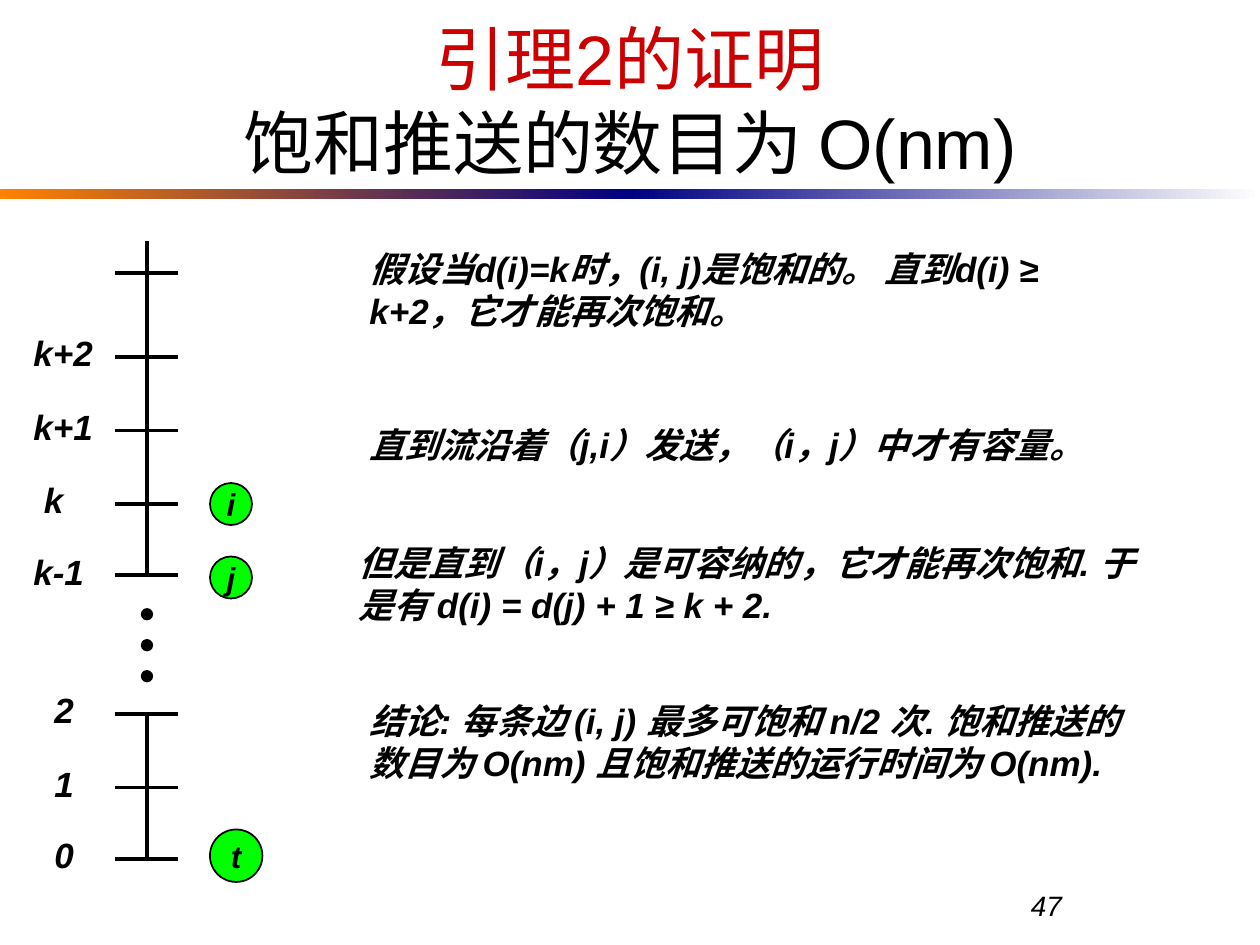
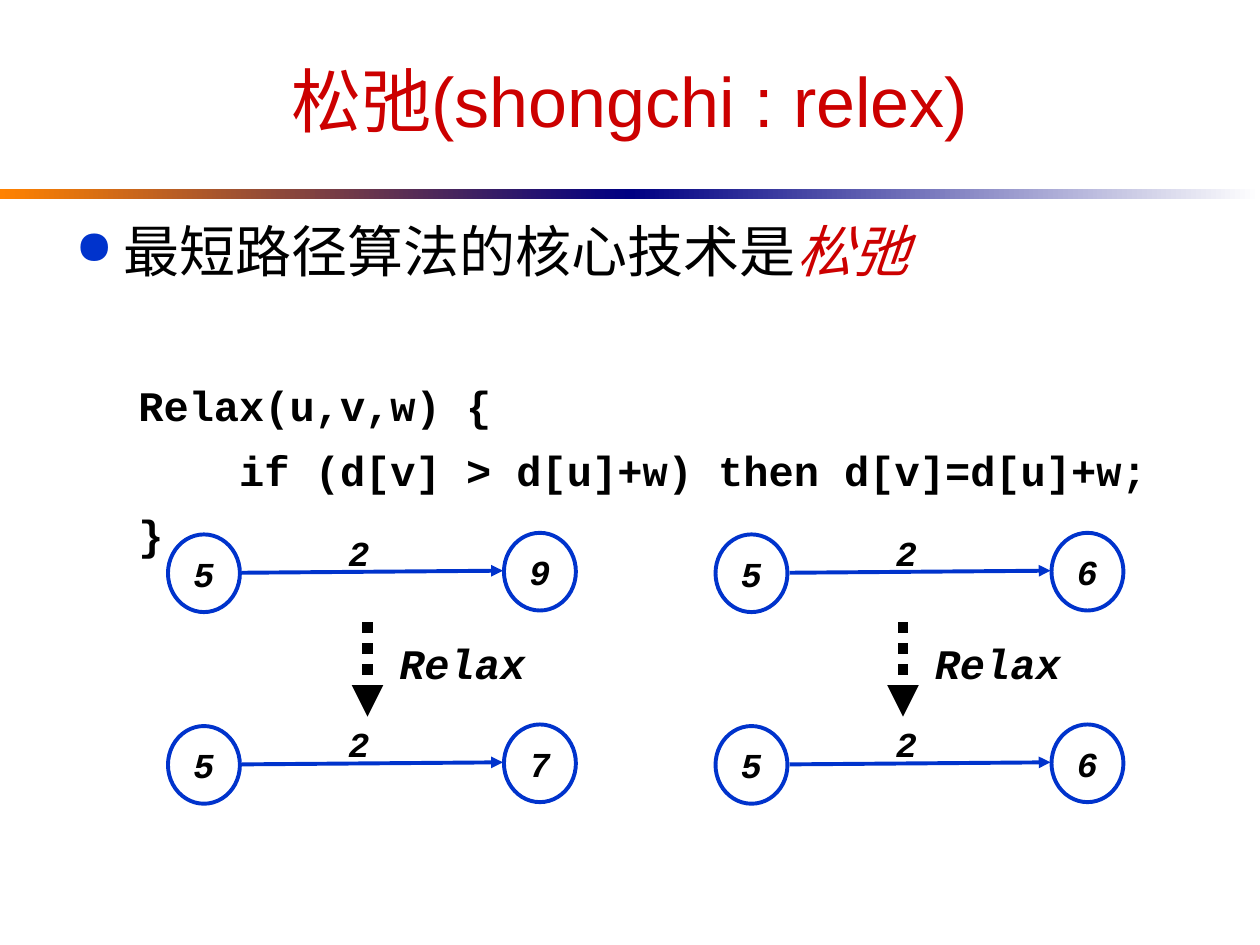
from dataclasses import dataclass

from lxml.etree import SubElement
from pptx import Presentation
from pptx.dml.color import RGBColor
from pptx.enum.dml import MSO_LINE
from pptx.enum.shapes import MSO_CONNECTOR, MSO_SHAPE
from pptx.enum.text import MSO_ANCHOR, MSO_AUTO_SIZE, PP_ALIGN
from pptx.oxml.ns import qn
from pptx.util import Inches, Pt

COLS, ROWS = 120, 90


@dataclass(frozen=True)
class Theme:
    ink: str = "000000"
    paper: str = "FFFFFF"
    red: str = "CC0000"
    blue: str = "0033CC"
    navy: str = "000082"
    orange: str = "FF8200"
    green: str = "00FF00"
    sans: str = "Arial"
    serif: str = "Times New Roman"
    mono: str = "Courier New"
    title: int = 40
    lead: int = 32
    code: int = 24
    text: int = 20
    mark: int = 18
    foot: int = 16
    thin: float = 1
    line: float = 2.25
    thick: float = 6


def rgb(code):
    return RGBColor.from_string(code)


class Deck:
    def __init__(self, theme):
        self.theme = theme
        self.prs = Presentation()
        self.prs.slide_width, self.prs.slide_height = Inches(10), Inches(7.5)
        self.slide = None

    def grid(self, *spots):
        """Turn alternating columns and rows into slide lengths."""
        steps = self.prs.slide_width / COLS, self.prs.slide_height / ROWS
        return [round(n * steps[i % 2]) for i, n in enumerate(spots)]

    def font(self, par, size, face=None, bold=True, slant=True):
        font = par.font
        font.name, font.size = face or self.theme.sans, Pt(size)
        font.bold, font.italic = bold, slant
        font.color.rgb = rgb(self.theme.ink)

    def page(self, *lines):
        """Start a slide with its band; each title line is (text, colour)."""
        look = self.theme
        self.slide = self.prs.slides.add_slide(self.prs.slide_layouts[5])
        self.band(0, look.orange, look.navy)
        self.band(COLS / 2, look.navy, look.paper)
        title = self.slide.shapes.title
        title.left, title.top, title.width, title.height = self.grid(6, 3, 108, 13)
        frame = title.text_frame
        frame.auto_size = MSO_AUTO_SIZE.NONE
        frame.vertical_anchor = MSO_ANCHOR.MIDDLE
        par = frame.paragraphs[0]
        par.alignment = PP_ALIGN.CENTER
        self.font(par, look.title, bold=False, slant=False)
        for i, (text, color) in enumerate(lines):
            if i:
                par.add_line_break()
            run = par.add_run()
            run.text = text
            run.font.size = Pt(look.title)
            run.font.color.rgb = rgb(color)

    def band(self, col, start, end):
        bar = self.slide.shapes.add_shape(
            MSO_SHAPE.RECTANGLE, *self.grid(col, 18, COLS / 2, 1))
        bar.shadow.inherit = False
        bar.line.fill.background()
        bar.fill.gradient()
        bar.fill.gradient_angle = 0
        for stop, color in zip(bar.fill.gradient_stops, (start, end)):
            stop.color.rgb = rgb(color)

    def box(self, *area, wrap=True):
        frame = self.slide.shapes.add_textbox(*self.grid(*area)).text_frame
        frame.word_wrap = wrap
        return frame

    def note(self, text, *area, size=None, face=None, bold=True,
             wrap=True, align=PP_ALIGN.LEFT):
        par = self.box(*area, wrap=wrap).paragraphs[0]
        par.text, par.alignment = text, align
        self.font(par, size or self.theme.text, face, bold)

    def lead(self, text, key, *area):
        """Add a bulleted line that ends in a stressed key word."""
        look = self.theme
        par = self.box(*area).paragraphs[0]
        props = par._p.get_or_add_pPr()
        indent = Inches(0.38)
        props.set("marL", str(indent))
        props.set("indent", str(-indent))
        tint = SubElement(props, qn("a:buClr"))
        SubElement(tint, qn("a:srgbClr"), val=look.blue)
        SubElement(props, qn("a:buSzPct"), val="85000")
        SubElement(props, qn("a:buChar"), char="●")
        self.font(par, look.lead, look.serif, bold=False, slant=False)
        par.add_run().text = text
        run = par.add_run()
        run.text = key
        run.font.italic = True
        run.font.color.rgb = rgb(look.red)

    def code(self, lines, *area):
        frame = self.box(*area)
        for i, line in enumerate(lines):
            par = frame.add_paragraph() if i else frame.paragraphs[0]
            par.text = line
            if i:
                par.space_before = Pt(8)
            self.font(par, self.theme.code, self.theme.mono, slant=False)

    def oval(self, text, *area, fill, edge, width, size=None, face=None):
        oval = self.slide.shapes.add_shape(MSO_SHAPE.OVAL, *self.grid(*area))
        oval.shadow.inherit = False
        oval.fill.solid()
        oval.fill.fore_color.rgb = rgb(fill)
        oval.line.color.rgb = rgb(edge)
        oval.line.width = Pt(width)
        if text:
            frame = oval.text_frame
            frame.word_wrap = False
            frame.vertical_anchor = MSO_ANCHOR.MIDDLE
            par = frame.paragraphs[0]
            par.text, par.alignment = text, PP_ALIGN.CENTER
            self.font(par, size, face)

    def line(self, *ends, color=None, width=None, dash=None, head=False):
        link = self.slide.shapes.add_connector(
            MSO_CONNECTOR.STRAIGHT, *self.grid(*ends))
        link.line.color.rgb = rgb(color or self.theme.ink)
        link.line.width = Pt(width or self.theme.line)
        if dash:
            link.line.dash_style = dash
        if head:
            SubElement(link.line._get_or_add_ln(), qn("a:tailEnd"), type="triangle")
        SubElement(link._element.spPr, qn("a:effectLst"))


def proof(deck):
    look = deck.theme
    deck.page(("引理2的证明", look.red), ("饱和推送的数目为 O(nm)", look.ink))
    deck.note("47", 97, 84, 23, 6, size=look.foot, bold=False)

    claims = [
        (34, 23, "假设当d(i)=k时，(i, j)是饱和的。 直到d(i) ≥ k+2，它才能再次饱和。"),
        (34, 39.75, "直到流沿着（j,i）发送，（i，j）中才有容量。"),
        (33, 51, "但是直到（i，j）是可容纳的，它才能再次饱和. "
                 "于是有 d(i) = d(j) + 1 ≥ k + 2."),
        (34, 66, "结论: 每条边 (i, j) 最多可饱和 n/2 次. "
                 "饱和推送的数目为 O(nm) 且饱和推送的运行时间为 O(nm)."),
    ]
    for col, row, text in claims:
        deck.note(text, col, row, 110 - col, 9)

    axis = 14
    for top, end in ((23, 54.8), (68, 81.8)):
        deck.line(axis, top, axis, end)
    ticks = [(26, "", 0), (34, "k+2", 2), (41, "k+1", 2), (48, "k", 3),
             (54.8, "k-1", 2), (68, "2", 4), (75, "1", 4), (81.8, "0", 4)]
    for row, name, col in ticks:
        deck.line(axis - 3, row, axis + 3, row)
        if name:
            deck.note(name, col, row - 3, 11, 5.3, wrap=False)

    for i in range(3):
        deck.oval("", axis - 0.5, 58 + 2.95 * i, 1, 1,
                  fill=look.ink, edge=look.ink, width=look.thin)
    for name, row, size in (("i", 46, 4), ("j", 53, 4), ("t", 79, 5)):
        deck.oval(name, 20, row, size, size, fill=look.green,
                  edge=look.ink, width=look.thin, size=look.mark)


def relax(deck):
    look = deck.theme
    deck.page(("松弛(shongchi : relex)", look.red))
    deck.lead("最短路径算法的核心技术是", "松弛", 6, 20, 108, 8)
    deck.code(["Relax(u,v,w) {",
               "    if (d[v] > d[u]+w) then d[v]=d[u]+w;",
               "}"], 12, 35.6, 102, 18)

    def edge(col, row, start, end):
        """Draw two nodes joined by an arrow of weight 2."""
        for name, x, y in ((end, 32, 0), (start, 0, 0.15)):
            deck.oval(name, col + x, row + y, 6.85, 7.4, fill=look.paper,
                      edge=look.blue, width=look.line,
                      size=look.text, face=look.mono)
        deck.line(col + 7.05, row + 3.8, col + 31.9, row + 3.6,
                  color=look.blue, head=True)
        deck.note("2", col + 16, row - 0.75, 4.3, 5.3, face=look.mono,
                  wrap=False, align=PP_ALIGN.CENTER)

    for col, mid, before, after in ((16, 35, "9", "7"), (68.15, 86, "6", "6")):
        edge(col, 50.75, "5", before)
        edge(col, 69, "5", after)
        deck.line(mid, 59.25, mid, 68.25, width=look.thick,
                  dash=MSO_LINE.ROUND_DOT, head=True)
        deck.note("Relax", mid + 1.85, 60.1, 14.4, 6, size=look.code,
                  face=look.mono, wrap=False)


def main():
    deck = Deck(Theme())
    proof(deck)
    relax(deck)
    deck.prs.save("out.pptx")


if __name__ == "__main__":
    main()
